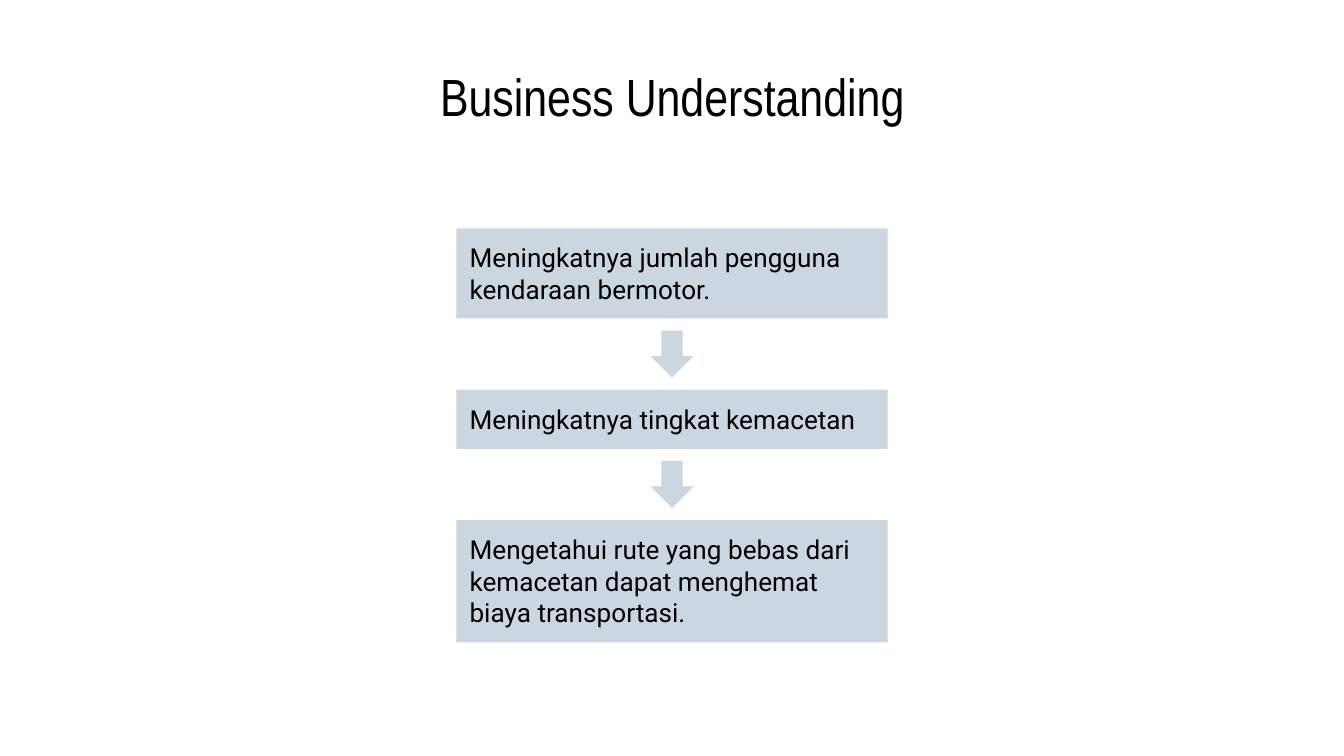
import pptx
import pptx.util
import pptx.dml.color
import pptx.enum.shapes
import pptx.enum.text

Inches = pptx.util.Inches
Shapes = pptx.enum.shapes.MSO_SHAPE
Anchor = pptx.enum.text.MSO_ANCHOR
Align = pptx.enum.text.PP_ALIGN

COLORS = {"background": "FFFFFF", "text": "000000", "step": "CAD6E0"}
STEPS = [
    ("Meningkatnya jumlah pengguna kendaraan bermotor.", 0.67),
    ("Meningkatnya tingkat kemacetan", 0.44),
    ("Mengetahui rute yang bebas dari kemacetan dapat menghemat biaya transportasi.", 0.91),
]
SLIDE_WIDTH = 10
SLIDE_HEIGHT = SLIDE_WIDTH * 9 / 16
TITLE_WIDTH, FLOW_WIDTH = 9.32, 3.21
ARROW_WIDTH, ARROW_HEIGHT, GAP = 0.32, 0.35, 0.09


def color(name):
    return pptx.dml.color.RGBColor.from_string(COLORS[name])


def write_text(shape, text, size, font_name, alignment, anchor):
    frame = shape.text_frame
    frame.word_wrap = True
    frame.vertical_anchor = anchor
    frame.margin_left = frame.margin_right = Inches(0.1)
    frame.margin_top = frame.margin_bottom = Inches(0.1)
    paragraph = frame.paragraphs[0]
    paragraph.text = text
    paragraph.alignment = alignment
    paragraph.font.size = pptx.util.Pt(size)
    paragraph.font.name = font_name
    paragraph.font.color.rgb = color("text")


def add_block(slide, kind, left, top, width, height):
    shape = slide.shapes.add_shape(
        kind, Inches(left), Inches(top), Inches(width), Inches(height))
    shape.shadow.inherit = False
    shape.fill.solid()
    shape.fill.fore_color.rgb = color("step")
    shape.line.fill.background()
    return shape


def add_title(slide, left, top, width, height):
    title = slide.shapes.add_textbox(
        Inches(left), Inches(top), Inches(width), Inches(height))
    write_text(title, "Business Understanding", 28, "Arial Narrow",
               Align.CENTER, Anchor.MIDDLE)


def add_flow(slide, left, top, width):
    arrow_left = left + (width - ARROW_WIDTH) / 2
    for index, (text, height) in enumerate(STEPS):
        if index:
            add_block(slide, Shapes.DOWN_ARROW, arrow_left, top + GAP,
                      ARROW_WIDTH, ARROW_HEIGHT)
            top += ARROW_HEIGHT + 2 * GAP
        step = add_block(slide, Shapes.RECTANGLE, left, top, width, height)
        write_text(step, text, 14, "Roboto", Align.LEFT, Anchor.TOP)
        top += height


def main():
    presentation = pptx.Presentation()
    presentation.slide_width = Inches(SLIDE_WIDTH)
    presentation.slide_height = Inches(SLIDE_HEIGHT)
    slide = presentation.slides.add_slide(presentation.slide_layouts[6])
    slide.background.fill.solid()
    slide.background.fill.fore_color.rgb = color("background")
    add_title(slide, (SLIDE_WIDTH - TITLE_WIDTH) / 2, 0.45, TITLE_WIDTH, 0.53)
    add_flow(slide, (SLIDE_WIDTH - FLOW_WIDTH) / 2, 1.7, FLOW_WIDTH)
    presentation.save("out.pptx")


if __name__ == "__main__":
    main()
